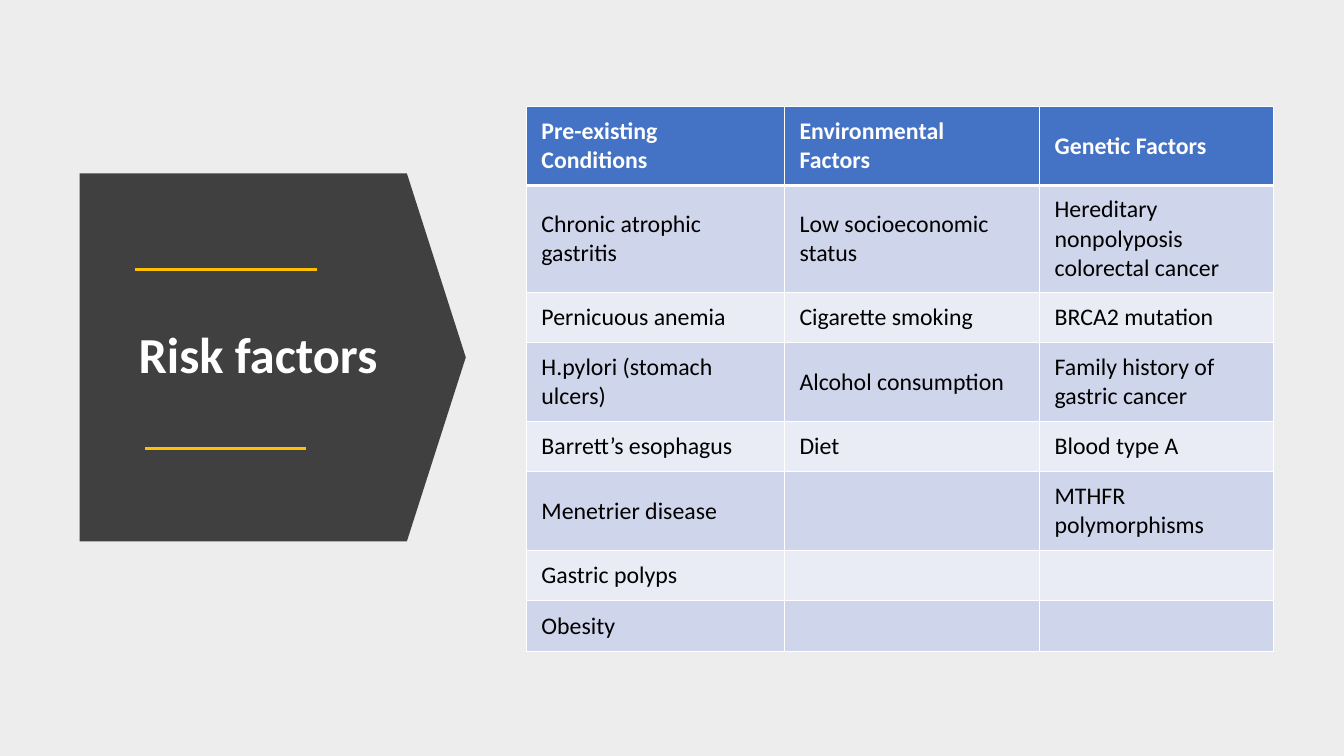
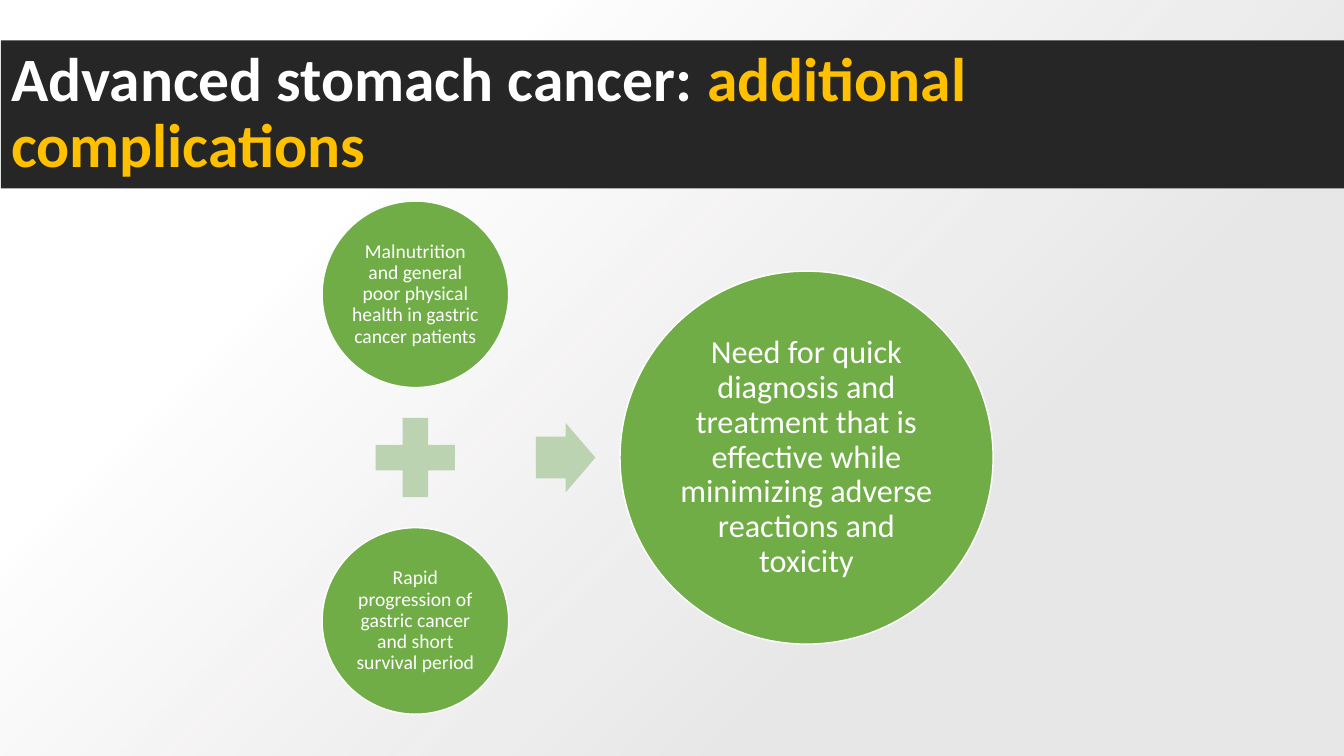
from dataclasses import dataclass

from lxml import etree
from pptx import Presentation, util as u
from pptx.dml.color import RGBColor
from pptx.enum import shapes, text
from pptx.oxml import parse_xml
from pptx.oxml.ns import nsdecls, qn

Inches = u.Inches
Shape = shapes.MSO_SHAPE
Align = text.PP_ALIGN


@dataclass(frozen=True)
class Theme:
    font: str = "Calibri"
    background: str = "EDEDED"
    white: str = "FFFFFF"
    black: str = "000000"
    accent: str = "FFC000"
    panel: str = "404040"
    band: str = "262626"
    node: str = "70AD47"
    operator: str = "BBD3B1"
    gray: str = "E7E6E6"
    header: str = "4472C4"
    rows: tuple = ("CFD5EA", "E9EBF5")
    panel_title: int = 36
    band_title: int = 44
    table: int = 17
    small_node: int = 14
    large_node: int = 23


class Deck:
    """Holds the theme and the current slide."""

    def __init__(self, theme):
        self.theme = theme
        self.presentation = Presentation()
        self.presentation.slide_width = Inches(13.33)
        self.presentation.slide_height = Inches(7.5)
        self.slide = None

    def new_slide(self):
        layout = self.presentation.slide_layouts.get_by_name("Title Only")
        self.slide = self.presentation.slides.add_slide(layout)
        self.paint(self.slide.background, self.theme.background)

    def paint(self, target, color):
        target.fill.solid()
        target.fill.fore_color.rgb = RGBColor.from_string(color)

    def add_runs(self, frame, runs, size, align=Align.LEFT, bold=False, spacing=0.9):
        """Add (text, color) runs; a newline in a text is a line break."""
        frame.word_wrap = True
        frame.vertical_anchor = text.MSO_ANCHOR.MIDDLE
        paragraph = frame.paragraphs[0]
        paragraph.alignment = align
        paragraph.line_spacing = spacing
        for content, color in runs:
            for index, line in enumerate(content.split("\n")):
                if index:
                    paragraph.add_line_break()
                run = paragraph.add_run()
                run.text = line
                run.font.name = self.theme.font
                run.font.size = u.Pt(size)
                run.font.bold = bold
                run.font.color.rgb = RGBColor.from_string(color)

    def title(self, box, runs, size, align=Align.LEFT, fill=None):
        title = self.slide.shapes.title
        title.left, title.top, title.width, title.height = map(Inches, box)
        title.text_frame.auto_size = text.MSO_AUTO_SIZE.NONE
        if fill:
            self.paint(title, fill)
        self.add_runs(title.text_frame, runs, size, align, bold=True)
        title.element.getparent().append(title.element)  # bring to front

    def shape(self, kind, box, fill, line=None, adjustments=()):
        shape = self.slide.shapes.add_shape(kind, *map(Inches, box))
        shape.shadow.inherit = False
        self.paint(shape, fill)
        if line:
            shape.line.color.rgb = RGBColor.from_string(line)
            shape.line.width = u.Pt(1)
        else:
            shape.line.fill.background()
        for index, value in enumerate(adjustments):
            shape.adjustments[index] = value
        return shape

    def centered(self, kind, center, size, fill, **options):
        (x, y), (width, height) = center, size
        box = (x - width / 2, y - height / 2, width, height)
        return self.shape(kind, box, fill, **options)

    def node(self, center, diameter, content, size, inset):
        circle = self.centered(Shape.OVAL, center, (diameter, diameter),
                               self.theme.node, line=self.theme.white)
        frame = circle.text_frame
        frame.margin_left = frame.margin_right = Inches(inset)
        frame.margin_top = frame.margin_bottom = Inches(inset)
        self.add_runs(frame, [(content, self.theme.white)], size, Align.CENTER)

    def rule(self, center_x, y, length):
        line = self.slide.shapes.add_connector(
            shapes.MSO_CONNECTOR.STRAIGHT,
            Inches(center_x - length / 2), Inches(y),
            Inches(center_x + length / 2), Inches(y))
        line.line.color.rgb = RGBColor.from_string(self.theme.accent)
        line.line.width = u.Pt(2.25)
        etree.SubElement(line.element.spPr, qn("a:effectLst"))

    def corner_glow(self):
        """Cover the slide with a gradient spreading from the bottom right."""
        shape = self.shape(Shape.RECTANGLE, (0, 0, 13.34, 7.5), self.theme.white)
        gradient = parse_xml(
            f'<a:gradFill {nsdecls("a")} rotWithShape="1"><a:gsLst>'
            f'<a:gs pos="28000"><a:srgbClr val="{self.theme.gray}">'
            f'<a:alpha val="84000"/></a:srgbClr></a:gs>'
            f'<a:gs pos="74000"><a:srgbClr val="{self.theme.white}"/></a:gs>'
            f'</a:gsLst><a:path path="circle"><a:fillToRect l="100000" t="100000"/>'
            f'</a:path><a:tileRect r="-100000" b="-100000"/></a:gradFill>')
        properties = shape.element.spPr
        properties.replace(properties.find(qn("a:solidFill")), gradient)

    def borders(self, cell, widths):
        properties = cell._tc.get_or_add_tcPr()
        for side, width in widths.items():
            properties.append(parse_xml(
                f'<a:ln{side} {nsdecls("a")} w="{u.Pt(width)}"><a:solidFill>'
                f'<a:srgbClr val="{self.theme.white}"/></a:solidFill></a:ln{side}>'))

    def table(self, left, top, widths, heights, rows):
        table = self.slide.shapes.add_table(
            len(rows), len(widths), Inches(left), Inches(top),
            Inches(sum(widths)), Inches(sum(heights))).table
        for column, width in zip(table.columns, widths):
            column.width = Inches(width)
        for index, (row, height, contents) in enumerate(zip(table.rows, heights, rows)):
            row.height = Inches(height)
            is_header = index == 0
            fill = self.theme.header if is_header else self.theme.rows[(index - 1) % 2]
            color = self.theme.white if is_header else self.theme.black
            sides = {"L": 1, "R": 1, "T": 3 if index == 1 else 1, "B": 3 if is_header else 1}
            for cell, content in zip(row.cells, contents):
                cell.margin_left = cell.margin_right = Inches(0.15)
                cell.margin_top = cell.margin_bottom = Inches(0.08)
                cell.vertical_anchor = text.MSO_ANCHOR.MIDDLE
                self.borders(cell, sides)
                self.paint(cell, fill)
                if content:
                    self.add_runs(cell.text_frame, [(content, color)], self.theme.table,
                                  bold=is_header, spacing=1.0)


RISK_FACTORS = [
    ("Pre-existing\nConditions", "Environmental\nFactors", "Genetic Factors"),
    ("Chronic atrophic gastritis", "Low socioeconomic status",
     "Hereditary nonpolyposis colorectal cancer"),
    ("Pernicuous anemia", "Cigarette smoking", "BRCA2 mutation"),
    ("H.pylori (stomach ulcers)", "Alcohol consumption", "Family history of gastric cancer"),
    ("Barrett’s esophagus", "Diet", "Blood type A"),
    ("Menetrier disease", "", "MTHFR polymorphisms"),
    ("Gastric polyps", "", ""),
    ("Obesity", "", ""),
]


def risk_factors(deck):
    theme = deck.theme
    deck.new_slide()
    # Title panel
    deck.shape(Shape.PENTAGON, (0.79, 1.72, 3.83, 3.65), theme.panel, adjustments=[0.16])
    deck.title((1.12, 2.15, 2.88, 2.79), [("Risk factors", theme.white)],
               theme.panel_title, Align.CENTER)
    # Factor table
    one, two, three = 0.5, 0.78, 1.06  # row heights by lines of text
    deck.table(5.22, 1.06, (2.56, 2.53, 2.32),
               (two, three, one, two, one, two, one, one), RISK_FACTORS)
    # Accent rules
    deck.rule(2.24, 2.67, 1.8)
    deck.rule(2.24, 4.45, 1.6)


def complications(deck):
    theme = deck.theme
    deck.new_slide()
    # Backdrop and title band
    deck.corner_glow()
    deck.title((0.01, 0.4, 13.35, 1.47),
               [("Advanced stomach cancer: ", theme.white),
                ("additional\ncomplications", theme.accent)],
               theme.band_title, fill=theme.band)
    # Two causes add up to one need
    causes_x, middle_y, offset = 4.12, 4.54, 1.62
    deck.node((causes_x, middle_y - offset), 1.85,
              "Malnutrition and general poor physical health in gastric cancer patients",
              theme.small_node, 0.02)
    deck.centered(Shape.MATH_PLUS, (causes_x, middle_y), (1.07, 1.07), theme.operator)
    deck.node((causes_x, middle_y + offset), 1.85,
              "Rapid progression of gastric cancer and short survival period",
              theme.small_node, 0.02)
    deck.centered(Shape.RIGHT_ARROW, (5.61, middle_y), (0.59, 0.69), theme.operator,
                  adjustments=[0.6, 0.5])
    deck.node((8, middle_y), 3.7,
              "Need for quick diagnosis and treatment that is effective while "
              "minimizing adverse reactions and toxicity",
              theme.large_node, 0.03)


def main():
    deck = Deck(Theme())
    risk_factors(deck)
    complications(deck)
    deck.presentation.save("out.pptx")


if __name__ == "__main__":
    main()
